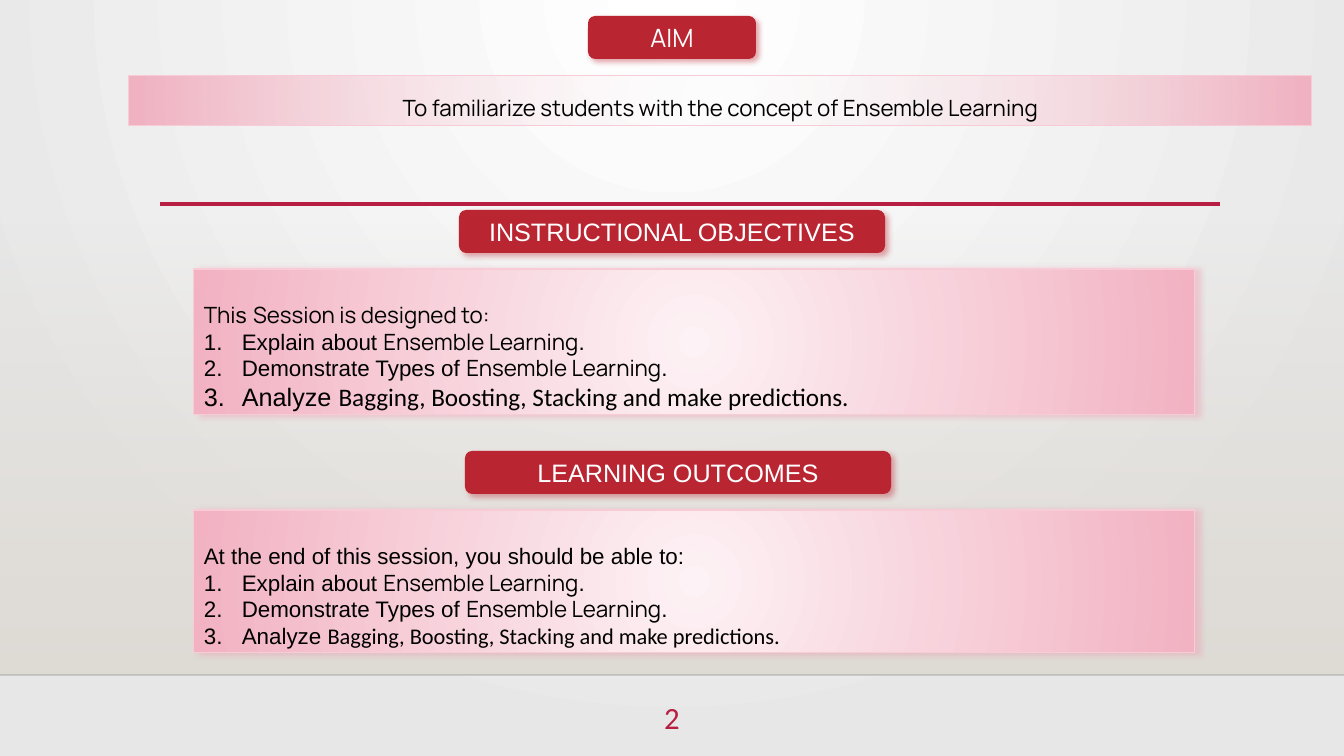
from lxml.etree import SubElement
from pptx import Presentation
from pptx.dml.color import RGBColor
from pptx.enum.shapes import MSO_CONNECTOR, MSO_SHAPE
from pptx.enum.text import MSO_ANCHOR, MSO_AUTO_SIZE, PP_ALIGN
from pptx.oxml import parse_xml
from pptx.oxml.ns import nsdecls, qn
from pptx.util import Pt

PX = 914400 / 100.8
WHITE = RGBColor(0xFF, 0xFF, 0xFF)
BLACK = RGBColor(0x00, 0x00, 0x00)
INK = RGBColor(0x00, 0x00, 0x01)
GREY = RGBColor(0xE7, 0xE7, 0xE7)
SAND = RGBColor(0xDF, 0xDB, 0xD5)
RED = RGBColor(0xBA, 0x25, 0x32)
ROSE = RGBColor(0xB7, 0x1E, 0x42)
PALE = RGBColor(0xFD, 0xF2, 0xF5)
PINK = RGBColor(0xF2, 0xB2, 0xC2)
EDGE = RGBColor(0xF7, 0xCC, 0xD6)
GLOW = RGBColor(0xEE, 0x99, 0xAD)


def blend(root, start, end, alpha=100, focus=None):
    """Turn the first solid fill under root into a gradient."""
    if focus:
        left, top, right, low = (side * 1000 for side in focus)
        way = (f'<a:path path="circle"><a:fillToRect l="{left}" t="{top}" '
               f'r="{right}" b="{low}"/></a:path>')
    else:
        way = '<a:lin ang="5400000" scaled="0"/>'
    old = root.find('.//' + qn('a:solidFill'))
    old.getparent().replace(old, parse_xml(
        f'<a:gradFill {nsdecls("a")} rotWithShape="1"><a:gsLst>'
        f'<a:gs pos="0"><a:srgbClr val="{start}"><a:alpha val="{alpha * 1000}"/>'
        f'</a:srgbClr></a:gs><a:gs pos="100000"><a:srgbClr val="{end}"/></a:gs>'
        f'</a:gsLst>{way}</a:gradFill>'))


def write(para, text, font="Arial", size=16, color=BLACK):
    run = para.add_run()
    run.text = text
    run.font.name = font
    run.font.size = Pt(size)
    run.font.color.rgb = color


deck = Presentation()
deck.slide_width = round(1344 * PX)
deck.slide_height = round(756 * PX)
slide = deck.slides.add_slide(deck.slide_layouts[6])
shapes = slide.shapes

# Backdrop
slide.background.fill.solid()
blend(slide.element, WHITE, GREY, focus=(43, 0, 43, 100))
floor = shapes.add_shape(MSO_SHAPE.RECTANGLE,
                         *(round(n * PX) for n in (0, 223, 1344, 452)))
floor.shadow.inherit = False
floor.fill.solid()
blend(floor.element, SAND, SAND, alpha=0)
floor.line.fill.background()

# Footer edge and rule under the aim
for x1, x2, y, color, width, alpha in [(0, 1344, 675, INK, 1, 20),
                                       (160, 1220, 204, ROSE, 2.5, 100)]:
    rule = shapes.add_connector(MSO_CONNECTOR.STRAIGHT,
                                *(round(n * PX) for n in (x1, y, x2, y)))
    rule.line.color.rgb = color
    rule.line.width = Pt(width)
    tint = rule.element.find('.//' + qn('a:srgbClr'))
    SubElement(tint, qn('a:alpha'), val=str(alpha * 1000))
    SubElement(rule.element.spPr, qn('a:effectLst'))

# Page number
page = shapes.add_textbox(*(round(n * PX) for n in (627, 694, 90, 55)))
page.text_frame.word_wrap = True
para = page.text_frame.paragraphs[0]
para.alignment = PP_ALIGN.CENTER
write(para, "2", font="Calibri", size=22, color=ROSE)

# Headings and panels: place, look, shadow colour and angle
badges = [
    ("AIM", "Manrope", 588, 16, 168),
    ("INSTRUCTIONAL OBJECTIVES", "Arial", 459, 210, 426),
    ("LEARNING OUTCOMES", "Arial", 465, 451, 426),
]
panels = [
    ([("To familiarize students with the concept of Ensemble Learning", "Manrope")],
     129, 76, 1183, 50, None),
    ([("Thi", "Manrope"), ("s ", "Arial"), ("Session is designed to:", "Manrope")],
     194, 269, 1001, 146, 18),
    ([("At the end of this session, you should be able to:", "Arial")],
     194, 510, 1001, 143, 16),
]
goals = [
    [("Explain about ", "Arial"), ("Ensemble Learning", "Manrope"), (".", "Arial")],
    [("Demonstrate Types of ", "Arial"), ("Ensemble Learning", "Manrope"),
     (".", "Arial")],
    [("Analyze ", "Arial"),
     ("Bagging, Boosting, Stacking and make predictions.", "Calibri")],
]
cast = []

for text, font, x, y, width in badges:
    badge = shapes.add_shape(MSO_SHAPE.ROUNDED_RECTANGLE,
                             *(round(n * PX) for n in (x, y, width, 43)))
    badge.fill.solid()
    badge.fill.fore_color.rgb = RED
    badge.line.fill.background()
    badge.shadow.inherit = False
    cast.append((badge, RED, 45))
    frame = badge.text_frame
    frame.vertical_anchor = MSO_ANCHOR.MIDDLE
    para = frame.paragraphs[0]
    para.alignment = PP_ALIGN.CENTER
    write(para, text, font=font, size=18, color=WHITE)

for intro, x, y, width, height, last in panels:
    panel = shapes.add_shape(MSO_SHAPE.RECTANGLE,
                             *(round(n * PX) for n in (x, y, width, height)))
    panel.fill.solid()
    blend(panel.element, PALE, PINK, alpha=100 if last else 0,
          focus=(50, 50, 50, 50))
    panel.line.color.rgb = EDGE
    panel.line.width = Pt(0.75)
    panel.shadow.inherit = False
    frame = panel.text_frame
    frame.word_wrap = True
    frame.auto_size = MSO_AUTO_SIZE.SHAPE_TO_FIT_TEXT
    frame.vertical_anchor = MSO_ANCHOR.TOP
    para = frame.paragraphs[0]
    para.alignment = PP_ALIGN.LEFT if last else PP_ALIGN.CENTER
    para.line_spacing = 2.0 if last else 1.5
    for text, font in intro:
        write(para, text, font=font)
    if not last:
        continue
    cast.append((panel, GLOW, 0))

    # Numbered goals
    for goal in goals:
        para = frame.add_paragraph()
        para.alignment = PP_ALIGN.LEFT
        props = para._p.get_or_add_pPr()
        props.set('marL', str(round(38 * PX)))
        props.set('indent', str(round(-38 * PX)))
        SubElement(props, qn('a:buFont'), typeface="Arial")
        SubElement(props, qn('a:buAutoNum'), type="arabicPeriod")
        for text, font in goal:
            write(para, text, font=font, size=last if goal is goals[-1] else 16)

# Soft shadows
for shape, color, angle in cast:
    effects = shape.element.spPr.find(qn('a:effectLst'))
    effects.append(parse_xml(
        f'<a:outerShdw {nsdecls("a")} blurRad="{Pt(4)}" dist="{Pt(3)}" '
        f'dir="{angle * 60000}" algn="tl" rotWithShape="0">'
        f'<a:srgbClr val="{color}"><a:alpha val="40000"/></a:srgbClr>'
        f'</a:outerShdw>'))

deck.save("out.pptx")
